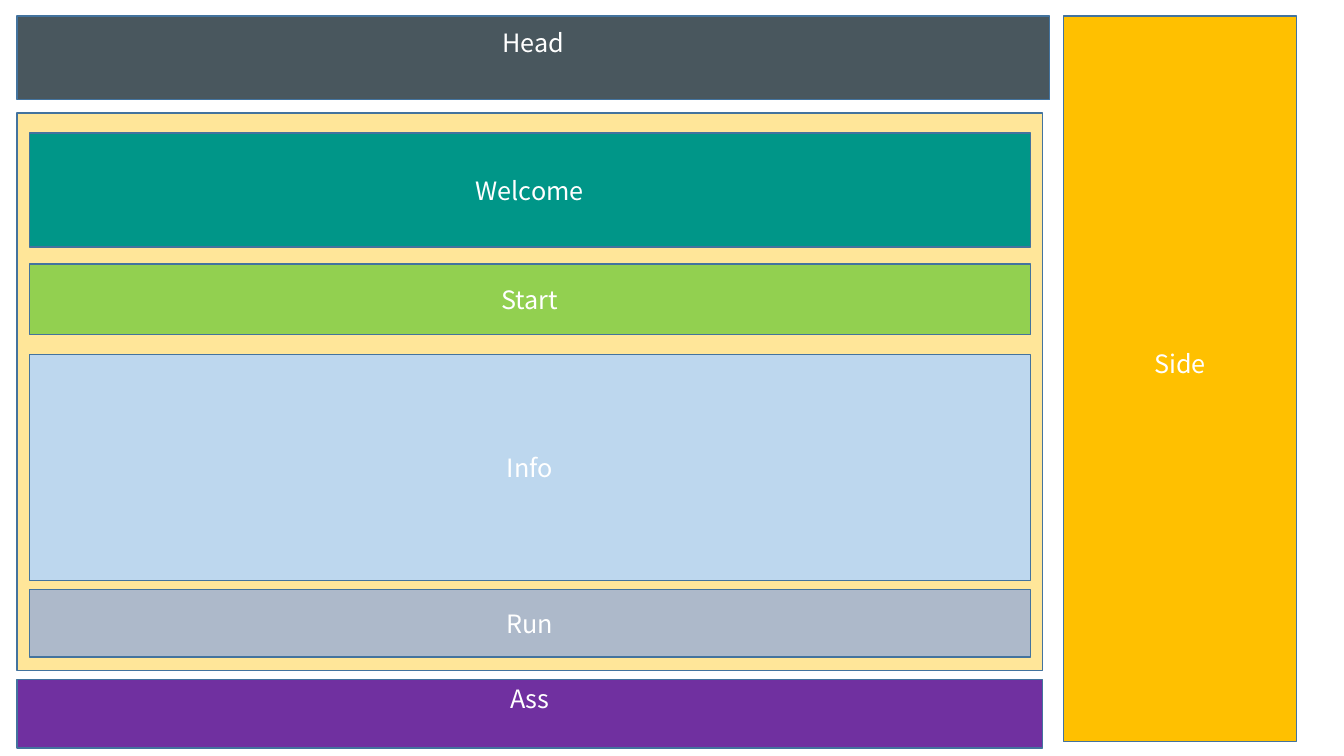
from dataclasses import dataclass
from typing import NamedTuple

from pptx import Presentation
from pptx.dml.color import RGBColor
from pptx.enum.shapes import MSO_SHAPE
from pptx.enum.text import MSO_ANCHOR, PP_ALIGN
from pptx.util import Inches, Length, Pt


@dataclass(frozen=True)
class Theme:
    """Colours, type and line sizes of the slide."""
    font: str = "Noto Sans CJK SC"
    size: Length = Pt(18)
    ink: str = "FFFFFF"
    edge: str = "43739E"
    line: Length = Pt(1)
    head: str = "49575E"
    foot: str = "7030A0"
    side: str = "FFC000"
    main: str = "FFE699"
    hello: str = "009688"
    start: str = "92D050"
    info: str = "BDD7EE"
    run: str = "ADB9CA"


class Span(NamedTuple):
    """Start and length along one axis, in percent of the slide."""
    start: float
    size: float


class Panel(NamedTuple):
    """One block of the page layout."""
    label: str
    fill: str
    col: Span
    row: Span
    lift: float = 0  # share of slide height kept free below the label


theme = Theme()
deck = Presentation()
deck.slide_width, deck.slide_height = Inches(13.33), Inches(7.5)
slide = deck.slides.add_slide(deck.slide_layouts[6])


def place(span: Span, total: int) -> tuple[int, int]:
    """Turn a span in percent into a start and a length."""
    return int(span.start * total / 100), int(span.size * total / 100)


def draw(panel: Panel) -> None:
    """Draw one panel with its centred label."""
    left, width = place(panel.col, deck.slide_width)
    top, height = place(panel.row, deck.slide_height)
    box = slide.shapes.add_shape(MSO_SHAPE.RECTANGLE, left, top, width, height)
    box.shadow.inherit = False
    box.fill.solid()
    box.fill.fore_color.rgb = RGBColor.from_string(panel.fill)
    box.line.color.rgb = RGBColor.from_string(theme.edge)
    box.line.width = theme.line
    if not panel.label:
        return
    frame = box.text_frame
    frame.vertical_anchor = MSO_ANCHOR.MIDDLE
    frame.margin_top = 0
    frame.margin_bottom = int(panel.lift * deck.slide_height)
    para = frame.paragraphs[0]
    para.text = panel.label
    para.alignment = PP_ALIGN.CENTER
    para.font.name = theme.font
    para.font.size = theme.size
    para.font.color.rgb = RGBColor.from_string(theme.ink)


LIFT = 0.04
PAGE = Span(1.28, 76.28)
INNER = Span(2.18, 74.48)

panels = [
    Panel("Head", theme.head, Span(1.28, 76.8), Span(2.13, 11.07), LIFT),
    Panel("Ass", theme.foot, PAGE, Span(89.87, 9.07), LIFT),
    Panel("Side", theme.side, Span(79.13, 17.33), Span(2.13, 96), LIFT),
    Panel("", theme.main, PAGE, Span(14.93, 73.73)),
    Panel("Welcome", theme.hello, INNER, Span(17.6, 15.07)),
    Panel("Start", theme.start, INNER, Span(34.93, 9.33)),
    Panel("Info", theme.info, INNER, Span(46.93, 29.87)),
    Panel("Run", theme.run, INNER, Span(78, 8.93)),
]
for panel in panels:
    draw(panel)

deck.save("out.pptx")
